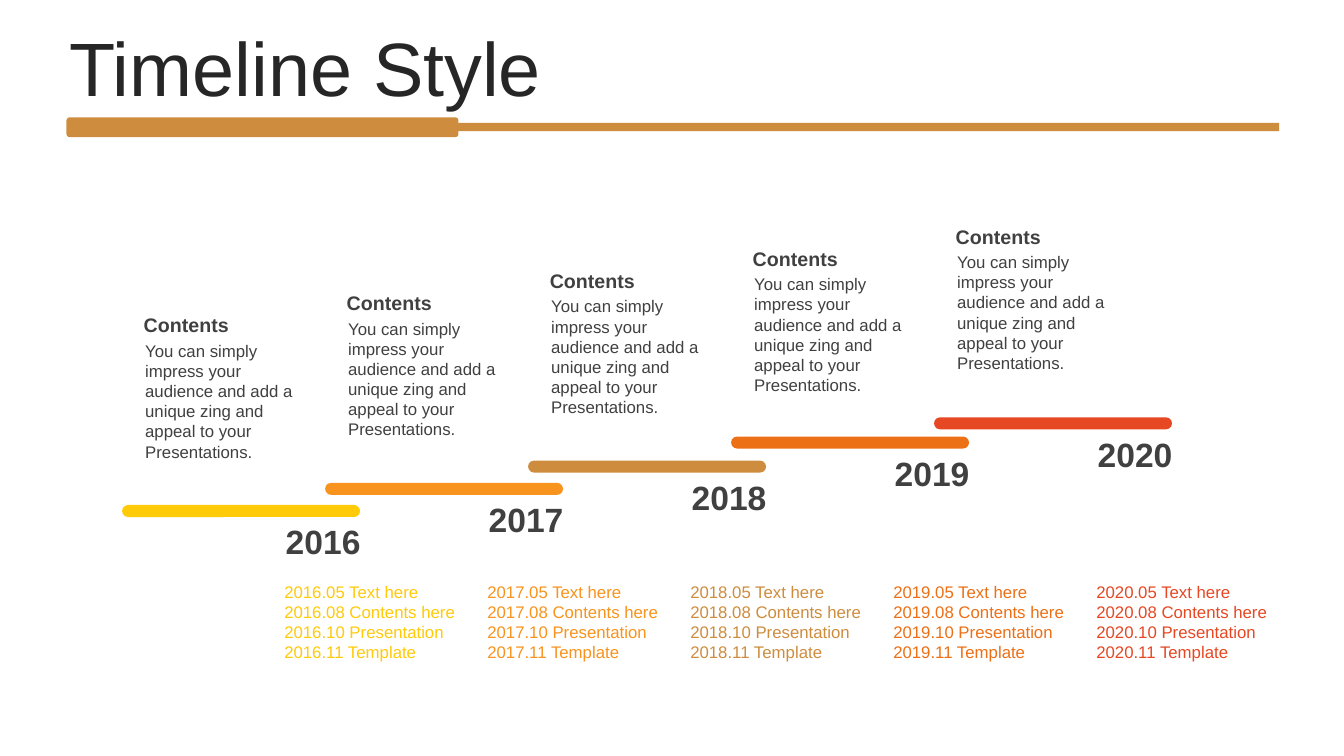
import pptx
import pptx.util
from pptx.dml.color import RGBColor
from pptx.enum.shapes import MSO_SHAPE
from pptx.enum.text import MSO_ANCHOR, PP_ALIGN

Pt = pptx.util.Pt

FONT = "Arial"
TITLE_COLOR = RGBColor(0x26, 0x26, 0x26)
BODY_COLOR = RGBColor(0x40, 0x40, 0x40)
YELLOW = RGBColor(0xFF, 0xCA, 0x08)
AMBER = RGBColor(0xF8, 0x93, 0x1D)
BRONZE = RGBColor(0xCE, 0x8D, 0x3E)
ORANGE = RGBColor(0xEC, 0x70, 0x16)
RED = RGBColor(0xE6, 0x48, 0x23)

# Year, bar colour, top of the bar in points
STAGES = [
    ("2016", YELLOW, 360.7),
    ("2017", AMBER, 344.9),
    ("2018", BRONZE, 329),
    ("2019", ORANGE, 311.8),
    ("2020", RED, 298.1),
]
FIRST_LEFT = 87.2
COLUMN_STEP = 145
HEADING_TOP = 220.3
HEADING_RISE = 15.84

DESCRIPTION = ("You can simply impress your audience and add a unique zing "
               "and appeal to your Presentations.")
MILESTONES = ["05 Text here", "08 Contents here", "10 Presentation", "11 Template"]


def add_bar(slide, kind, left, top, width, height, color):
    bar = slide.shapes.add_shape(kind, Pt(left), Pt(top), Pt(width), Pt(height))
    bar.shadow.inherit = False
    bar.fill.solid()
    bar.fill.fore_color.rgb = color
    bar.line.fill.background()
    return bar


def add_text(slide, text, left, top, width, height, size, color,
             bold=False, align=PP_ALIGN.LEFT, margins=(7.2, 3.6)):
    """Add a wrapped text box; margins are (left and right, top and bottom)."""
    frame = slide.shapes.add_textbox(Pt(left), Pt(top), Pt(width), Pt(height)).text_frame
    frame.word_wrap = True
    frame.margin_left = frame.margin_right = Pt(margins[0])
    frame.margin_top = frame.margin_bottom = Pt(margins[1])
    frame.text = text
    for paragraph in frame.paragraphs:
        paragraph.alignment = align
        for run in paragraph.runs:
            run.font.name = FONT
            run.font.size = Pt(size)
            run.font.bold = bold
            run.font.color.rgb = color
    return frame


def add_header(slide):
    add_bar(slide, MSO_SHAPE.RECTANGLE, 208.1, 87.8, 705.6, 5.8, BRONZE)
    add_bar(slide, MSO_SHAPE.ROUNDED_RECTANGLE, 47.5, 83.8, 280, 14.2, BRONZE)
    title = add_text(slide, "Timeline Style", 42.5, 23, 876.2, 56.9, 54, TITLE_COLOR)
    title.vertical_anchor = MSO_ANCHOR.MIDDLE
    title.paragraphs[0].line_spacing = 0.9
    title.paragraphs[0].space_before = Pt(10)


def add_stage(slide, index, year, color, bar_top):
    left = FIRST_LEFT + index * COLUMN_STEP
    heading_top = HEADING_TOP - index * HEADING_RISE
    bar = add_bar(slide, MSO_SHAPE.ROUNDED_RECTANGLE, left, bar_top, 170, 8.6, color)
    bar.adjustments[0] = 0.5
    add_text(slide, DESCRIPTION, left + 9.4, heading_top + 19.4, 123.8, 94.3, 12, BODY_COLOR)
    add_text(slide, "Contents", left + 7, heading_top, 124.6, 24.5, 14, BODY_COLOR,
             bold=True, margins=(8.5, 3.6))
    add_text(slide, year, left + 100.5, bar_top + 11.6, 69.8, 28.8, 24, BODY_COLOR,
             bold=True, align=PP_ALIGN.RIGHT, margins=(0, 0))
    milestones = "\n".join(f"{year}.{milestone}" for milestone in MILESTONES)
    add_text(slide, milestones, left + 108.8, 411.8, 136.8, 65.5, 12, color)


def main():
    presentation = pptx.Presentation()
    presentation.slide_width = Pt(960)
    presentation.slide_height = Pt(540)
    slide = presentation.slides.add_slide(presentation.slide_layouts[6])
    add_header(slide)
    for index, (year, color, bar_top) in enumerate(STAGES):
        add_stage(slide, index, year, color, bar_top)
    presentation.save("out.pptx")


if __name__ == "__main__":
    main()
